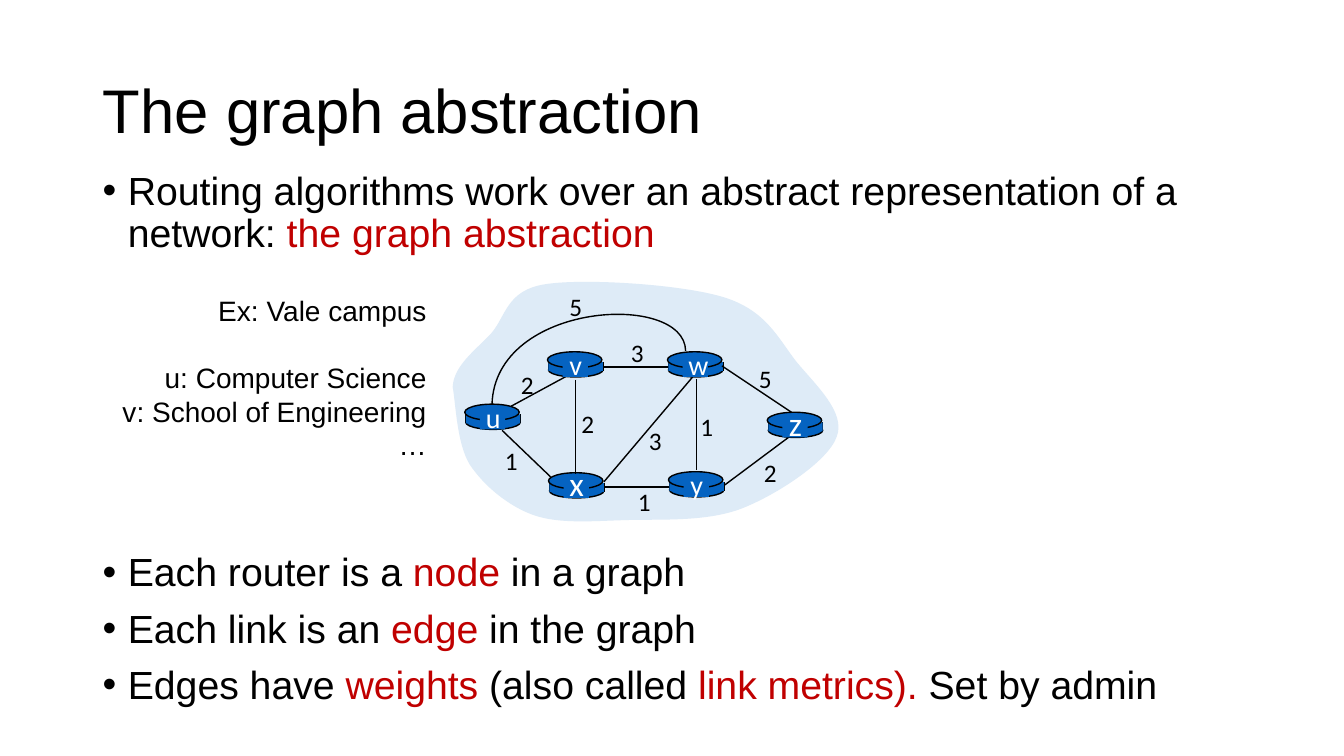
from lxml.etree import SubElement
from pptx import Presentation
from pptx.dml.color import RGBColor
from pptx.enum.shapes import MSO_CONNECTOR, MSO_SHAPE
from pptx.enum.text import MSO_ANCHOR, PP_ALIGN
from pptx.oxml.ns import qn
from pptx.util import Inches, Pt

BLACK, WHITE, RED = "000000", "FFFFFF", "C00000"
BLUE, PALE = "0563C1", "DEEBF7"

# Left and top of each router's lid, and the size of its letter
ROUTERS = {
    "u": (4.61, 4.01, 20),
    "x": (5.44, 4.69, 24),
    "v": (5.43, 3.49, 20),
    "w": (6.62, 3.49, 20),
    "y": (6.63, 4.68, 20),
    "z": (7.61, 4.09, 24),
}
# Ends of each link
LINKS = [
    (6.91, 3.76, 6.91, 4.66),
    (5.71, 3.77, 5.71, 4.7),
    (5.99, 4.78, 6.87, 3.74),
    (7.19, 4.81, 7.82, 4.34),
    (6.64, 4.83, 6, 4.83),
    (5.46, 4.73, 4.98, 4.27),
    (6.63, 3.64, 5.99, 3.64),
    (7.85, 4.09, 7.16, 3.63),
]
# Weight and the centre of its label
WEIGHTS = [
    ("2", 5.23, 3.82), ("2", 5.83, 4.2), ("1", 5.07, 4.57),
    ("3", 6.5, 4.37), ("1", 6.39, 4.98), ("1", 7.01, 4.23),
    ("2", 7.64, 4.69), ("5", 7.59, 3.76), ("3", 6.32, 3.5),
    ("5", 5.71, 3.04),
]
# Start point, then two handles and an end point for each curve
CLOUD = [
    (4.49, 3.84),
    (4.5, 3.63), (4.71, 3.48), (4.87, 3.31),
    (5.02, 3.14), (5.02, 2.88), (5.41, 2.82),
    (5.79, 2.76), (6.76, 2.82), (7.18, 2.95),
    (7.6, 3.08), (7.72, 3.36), (7.9, 3.59),
    (8.09, 3.82), (8.39, 4.09), (8.3, 4.33),
    (8.22, 4.57), (7.72, 4.9), (7.37, 5.04),
    (7.02, 5.18), (6.56, 5.15), (6.21, 5.16),
    (5.87, 5.17), (5.55, 5.2), (5.29, 5.11),
    (5.04, 5.02), (4.8, 4.82), (4.66, 4.61),
    (4.53, 4.4), (4.52, 4), (4.49, 3.84),
]
ARC = [(6.8, 3.48), (6.79, 2.89), (4.91, 2.99), (4.88, 4.01)]

# Space before in points, then text and colour of each run
BULLETS = [
    (10, [("Routing algorithms work over an abstract representation of a "
           "network: ", BLACK), ("the graph abstraction", RED)]),
    (212, [("Each router is a ", BLACK), ("node", RED),
           (" in a graph", BLACK)]),
    (10, [("Each link is an ", BLACK), ("edge", RED),
          (" in the graph", BLACK)]),
    (10, [("Edges have ", BLACK), ("weights ", RED),
          ("(also called ", BLACK), ("link metrics). ", RED),
          ("Set by admin", BLACK)]),
]
NOTES = [("Ex: Vale campus", 0), ("u: Computer Science", 24),
         ("v: School of Engineering", 0), ("…", 0)]


def color(code):
    return RGBColor.from_string(code)


def style(font, name, size, code=BLACK):
    font.name, font.size = name, Pt(size)
    font.color.rgb = color(code)


def paint(shape, fill=None, line=None):
    shape.shadow.inherit = False
    if fill:
        shape.fill.solid()
        shape.fill.fore_color.rgb = color(fill)
    else:
        shape.fill.background()
    if line:
        shape.line.color.rgb = color(line)
        shape.line.width = Pt(1)
    else:
        shape.line.fill.background()


def add_solid(slide, kind, x, y, w, h, line=None):
    shape = slide.shapes.add_shape(kind, Inches(x), Inches(y),
                                   Inches(w), Inches(h))
    paint(shape, BLUE, line)


def add_line(slide, x1, y1, x2, y2):
    line = slide.shapes.add_connector(
        MSO_CONNECTOR.STRAIGHT, Inches(x1), Inches(y1),
        Inches(x2), Inches(y2))
    line.line.color.rgb = color(BLACK)
    line.line.width = Pt(1)
    SubElement(line._element.spPr, qn("a:effectLst"))


def add_curve(slide, knots, close, fill=None, line=None):
    """Draw a freeform, then turn each three segments into one curve."""
    start, *rest = [(Inches(x), Inches(y)) for x, y in knots]
    outline = slide.shapes.build_freeform(*start)
    outline.add_line_segments(rest, close=close)
    shape = outline.convert_to_shape()
    steps = list(shape._element.iter(qn("a:lnTo")))
    for i in range(0, len(rest), 3):
        curve = steps[i].makeelement(qn("a:cubicBezTo"))
        steps[i].addprevious(curve)
        for step in steps[i:i + 3]:
            curve.append(step[0])
            step.getparent().remove(step)
    paint(shape, fill, line)


def add_box(slide, x, y, w, h, wrap=True):
    box = slide.shapes.add_textbox(Inches(x), Inches(y),
                                   Inches(w), Inches(h))
    box.text_frame.word_wrap = wrap
    return box.text_frame


def add_label(slide, text, x, y, size, code=BLACK):
    """Centre a short text on the point x, y."""
    w, h = 0.34, size * 1.22 / 72 + 0.1
    para = add_box(slide, x - w / 2, y - h / 2, w, h, False).paragraphs[0]
    para.text = text
    para.alignment = PP_ALIGN.CENTER
    style(para.font, "Calibri", size, code)


def add_router(slide, x, y):
    w, left, side = 0.54, x + 0.01, y + 0.1
    add_solid(slide, MSO_SHAPE.OVAL, left, y + 0.11, w, 0.14, BLACK)
    for edge in (left, left + w):
        add_line(slide, edge, side, edge, side + 0.09)
    add_solid(slide, MSO_SHAPE.RECTANGLE, left, side, w, 0.09)
    add_solid(slide, MSO_SHAPE.OVAL, x, y, w, 0.16, BLACK)


def add_name(slide, name, x, y, size):
    add_solid(slide, MSO_SHAPE.RECTANGLE, x + 0.15, y + 0.02, 0.25, 0.23)
    drop = 0.13 if size == 20 else 0.11
    add_label(slide, name, x + 0.28, y + drop, size, WHITE)


def add_graph(slide):
    add_curve(slide, CLOUD, True, fill=PALE)
    add_line(slide, 5.07, 4.03, 5.66, 3.71)
    for x, y, _ in ROUTERS.values():
        add_router(slide, x, y)
    for ends in LINKS:
        add_line(slide, *ends)
    add_curve(slide, ARC, False, line=BLACK)
    for name, (x, y, size) in ROUTERS.items():
        add_name(slide, name, x, y, size)
    for text, x, y in WEIGHTS:
        add_label(slide, text, x, y, 18)


def set_title(slide, text):
    title = slide.shapes.title
    title.left, title.top = Inches(0.92), Inches(0.4)
    title.width, title.height = Inches(11.5), Inches(1.45)
    title.text_frame.vertical_anchor = MSO_ANCHOR.MIDDLE
    para = title.text_frame.paragraphs[0]
    para.text = text
    para.alignment = PP_ALIGN.LEFT
    para.line_spacing = 0.9
    style(para.font, "Arial", 44)


def next_para(frame, first):
    return frame.paragraphs[0] if first else frame.add_paragraph()


def add_bullets(slide):
    frame = add_box(slide, 0.92, 1.65, 12.04, 5.85)
    for i, (gap, runs) in enumerate(BULLETS):
        para = next_para(frame, i == 0)
        para.line_spacing, para.space_before = 0.9, Pt(gap)
        props = para._p.get_or_add_pPr()
        props.set("marL", str(Inches(0.25)))
        props.set("indent", str(Inches(-0.25)))
        SubElement(props, qn("a:buFont"), typeface="Arial")
        SubElement(props, qn("a:buChar"), char="•")
        for text, code in runs:
            run = para.add_run()
            run.text = text
            style(run.font, "Arial", 28, code)


def add_notes(slide):
    frame = add_box(slide, 1.04, 2.86, 3.29, 1.78)
    for i, (text, gap) in enumerate(NOTES):
        para = next_para(frame, i == 0)
        para.text = text
        para.alignment = PP_ALIGN.RIGHT
        para.space_before = Pt(gap)
        style(para.font, "Arial", 20)


def main():
    deck = Presentation()
    deck.slide_width, deck.slide_height = Inches(13.33), Inches(7.5)
    slide = deck.slides.add_slide(deck.slide_layouts[5])
    set_title(slide, "The graph abstraction")
    add_bullets(slide)
    add_graph(slide)
    add_notes(slide)
    deck.save("out.pptx")


if __name__ == "__main__":
    main()
